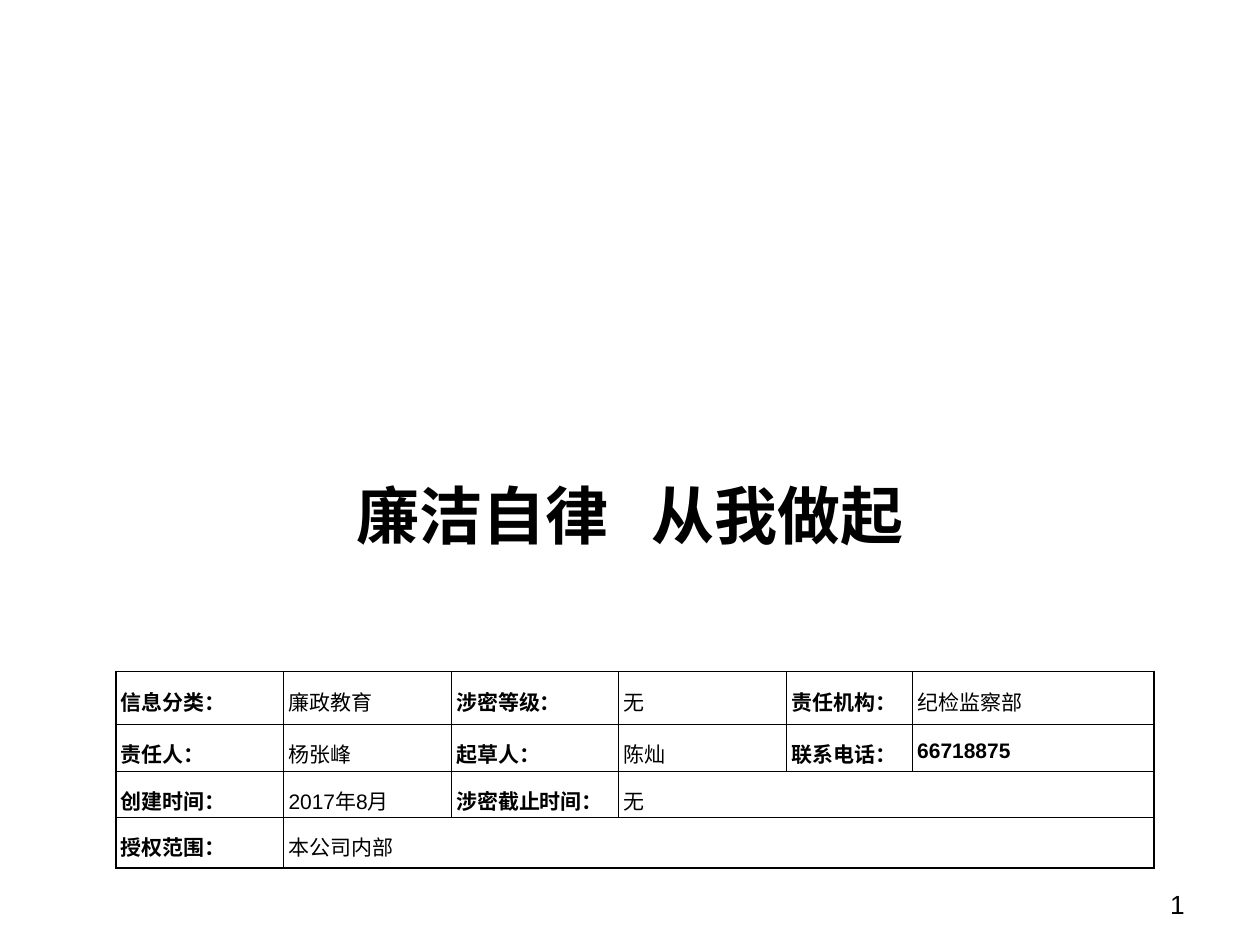
from pptx import Presentation
from pptx.dml.color import RGBColor
from pptx.enum.text import MSO_ANCHOR, PP_ALIGN
from pptx.oxml.ns import qn
from pptx.util import Inches, Pt
from lxml import etree

MIDDLE = MSO_ANCHOR.MIDDLE
CENTER, RIGHT = PP_ALIGN.CENTER, PP_ALIGN.RIGHT
LATIN, CJK = "Arial", "Noto Sans CJK SC"
BLACK = "000000"
THIN, THICK = 0.45, 1.08
TITLE_ONLY = 5

COLS = [1.33, 1.33, 1.33, 1.33, 1, 1.92]
ROWS = [0.42, 0.37, 0.37, 0.4]
PHONE = "66718875"
DATA = [
    ["信息分类：", "廉政教育", "涉密等级：", "无", "责任机构：", "纪检监察部"],
    ["责任人：", "杨张峰", "起草人：", "陈灿", "联系电话：", PHONE],
    ["创建时间：", "2017年8月", "涉密截止时间：", "无"],
    ["授权范围：", "本公司内部"],
]


def rgb(value):
    return RGBColor.from_string(value)


def add_text(p, text, size, font=LATIN, bold=False, color=BLACK, align=None,
             line_spacing=None, tracking=0):
    """Append one formatted run; tracking is extra letter spacing in points."""
    if align is not None:
        p.alignment = align
    if line_spacing:
        p.line_spacing = line_spacing
    r = p.add_run()
    r.text = text
    r.font.size, r.font.name, r.font.bold = Pt(size), font, bold
    r.font.color.rgb = rgb(color)
    rPr = r.font._element
    etree.SubElement(rPr, qn("a:ea")).set("typeface", CJK)
    if tracking:
        rPr.set("spc", str(tracking * 100))


def place(sp, left, top, width, height):
    sp.left, sp.top = Inches(left), Inches(top)
    sp.width, sp.height = Inches(width), Inches(height)


def set_borders(cell, left, right, top, bottom):
    tcPr = cell._tc.get_or_add_tcPr()
    for side, width in zip("LRTB", (left, right, top, bottom)):
        ln = etree.SubElement(tcPr, qn(f"a:ln{side}"), w=str(Pt(width)))
        fill = etree.SubElement(ln, qn("a:solidFill"))
        etree.SubElement(fill, qn("a:srgbClr"), val=BLACK)


def add_title(s):
    sp = s.shapes.title
    place(sp, 0.75, 3.42, 8.5, 1.33)
    tf = sp.text_frame
    tf.vertical_anchor = MIDDLE
    p = tf.paragraphs[0]
    for text, tracking in (("廉洁自律", 0), (" ", 16), ("从我做起", 0)):
        add_text(p, text, 36, font=CJK, bold=True, align=CENTER,
                 tracking=tracking)


def add_page_number(s):
    sp = s.shapes.add_textbox(Inches(7.17), Inches(7), Inches(2.33), Inches(0.35))
    sp.text_frame.word_wrap = True
    add_text(sp.text_frame.paragraphs[0], "1", 15, align=RIGHT)


def add_info_table(s):
    """Label and value pairs; the last value of a short row spans the rest."""
    nrows, ncols = len(ROWS), len(COLS)
    table = s.shapes.add_table(nrows, ncols, Inches(0.92), Inches(5.33),
                               Inches(sum(COLS)), Inches(sum(ROWS))).table
    table.first_row = table.horz_banding = False
    for col, width in zip(table.columns, COLS):
        col.width = Inches(width)
    for i, (row, height) in enumerate(zip(table.rows, ROWS)):
        row.height = Inches(height)
        last = len(DATA[i]) - 1
        if last < ncols - 1:
            table.cell(i, last).merge(table.cell(i, ncols - 1))
        for j in range(ncols):
            cell = table.cell(i, j)
            cell.vertical_anchor = MIDDLE
            cell.margin_left = cell.margin_right = Inches(0.04)
            end = j + cell.span_width if cell.is_merge_origin else j + 1
            edges = (j == 0, end == ncols, i == 0, i == nrows - 1)
            set_borders(cell, *(THICK if outer else THIN for outer in edges))
            cell.fill.background()
            if j <= last:
                text = DATA[i][j]
                add_text(cell.text_frame.paragraphs[0], text, 12,
                         bold=j % 2 == 0 or text == PHONE, line_spacing=1.25)


def main():
    prs = Presentation()
    prs.slide_width, prs.slide_height = Inches(10), Inches(7.5)
    s = prs.slides.add_slide(prs.slide_layouts[TITLE_ONLY])
    add_page_number(s)
    add_title(s)
    add_info_table(s)
    prs.save("out.pptx")


if __name__ == "__main__":
    main()
